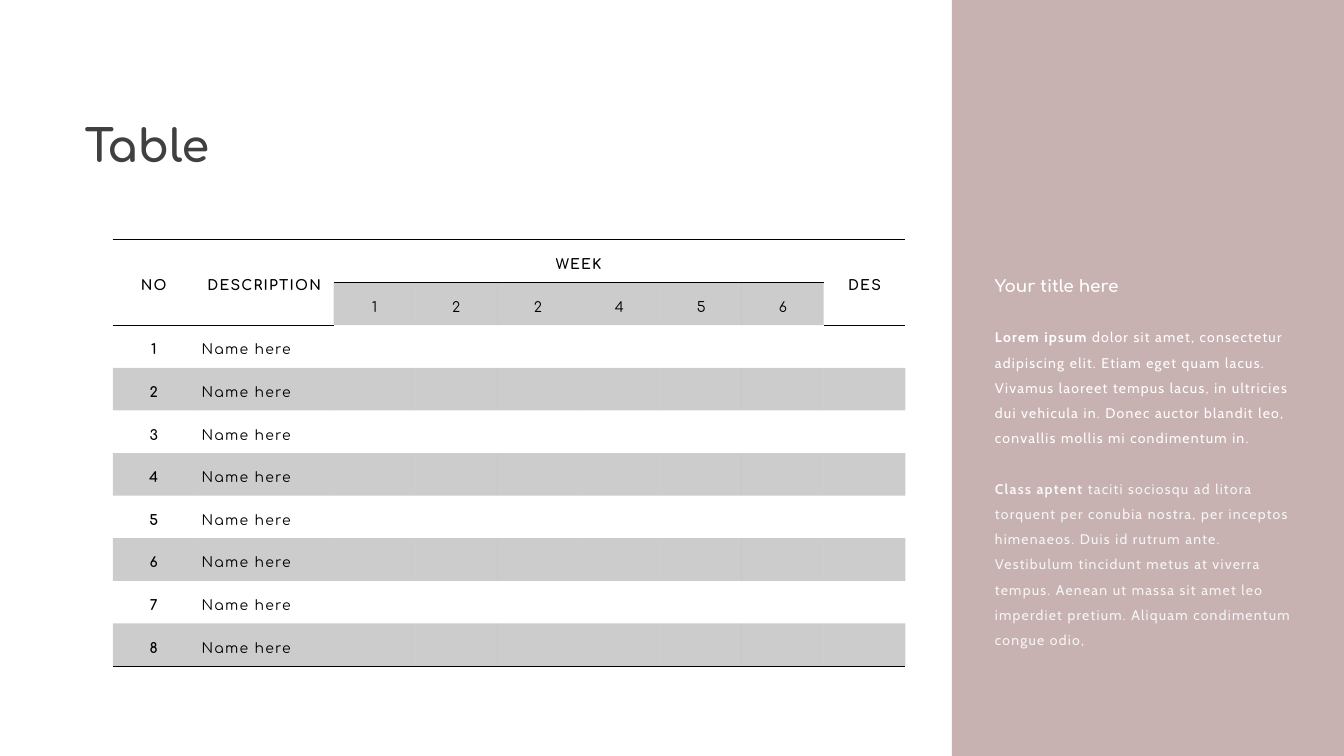
from lxml import etree
from pptx import Presentation
from pptx import util as u
from pptx.dml.color import RGBColor
from pptx.enum import shapes, text
from pptx.oxml import ns

PLAIN_TABLE_STYLE = "{2D5ABB26-0587-4C30-8999-92F81FD0307C}"
BLACK, WHITE = "000000", "FFFFFF"
NUMBER_WIDTH, DESCRIPTION_WIDTH = 0.81, 1.38
TABLE_WIDTH, TABLE_HEIGHT = 7.87, 4.23
WEEKS = ["1", "2", "2", "4", "5", "6"]
NAME_COUNT = 8
ROW_COUNT, COLUMN_COUNT = NAME_COUNT + 2, len(WEEKS) + 3

TABLE_FORMAT = {"name": "Comfortaa", "size": u.Pt(10)}
BODY_FORMAT = {"name": "Cabin", "size": u.Pt(10)}
SPACING = 90  # hundredths of a point

BODY = [
    (WHITE, "Lorem ipsum ",
     "dolor sit amet, consectetur adipiscing elit. Etiam eget quam lacus. "
     "Vivamus laoreet tempus lacus, in ultricies dui vehicula in. "
     "Donec auctor blandit leo, convallis mollis mi condimentum in."),
    ("F6F6F6", "Class aptent ",
     "taciti sociosqu ad litora torquent per conubia nostra, per inceptos "
     "himenaeos. Duis id rutrum ante. Vestibulum tincidunt metus at viverra "
     "tempus. Aenean ut massa sit amet leo imperdiet pretium. "
     "Aliquam condimentum congue odio,"),
]


def color(value):
    return RGBColor.from_string(value)


def add_run(paragraph, words, font_color, font_format, bold=False, spacing=0):
    run = paragraph.add_run()
    run.text = words
    for name, value in {**font_format, "bold": bold}.items():
        setattr(run.font, name, value)
    run.font.color.rgb = color(font_color)
    if spacing:
        run.font._element.set("spc", str(spacing))


def add_text_frame(slide, left, top, width, height):
    box = slide.shapes.add_textbox(*map(u.Inches, (left, top, width, height)))
    box.text_frame.word_wrap = True
    return box.text_frame


def add_heading(slide, words, position, size, font_color):
    frame = add_text_frame(slide, *position)
    add_run(frame.paragraphs[0], words, font_color,
            {"name": "Comfortaa", "size": u.Pt(size)}, bold=True)


def add_side_panel(slide):
    panel = slide.shapes.add_shape(
        shapes.MSO_SHAPE.RECTANGLE, *map(u.Inches, (9.44, 0, 3.89, 7.5)))
    panel.shadow.inherit = False
    panel.fill.solid()
    panel.fill.fore_color.rgb = color("C7B1B1")
    panel.line.fill.background()


def add_body(slide):
    frame = add_text_frame(slide, 9.77, 3.13, 3.24, 3.1)
    for index, (font_color, lead, rest) in enumerate(BODY):
        paragraph = frame.add_paragraph() if index else frame.paragraphs[0]
        paragraph.line_spacing = 1.5
        paragraph.space_before = u.Pt(18 if index else 0)
        add_run(paragraph, lead, font_color, BODY_FORMAT, True, SPACING)
        add_run(paragraph, rest, font_color, BODY_FORMAT, False, SPACING)


def write_cell(cell, words, bold=False, align=text.PP_ALIGN.CENTER):
    paragraph = cell.text_frame.paragraphs[0]
    paragraph.alignment = align
    paragraph.line_spacing = 1.5
    add_run(paragraph, words, BLACK, TABLE_FORMAT, bold, SPACING)


def shade_cell(cell):
    """Fill with black at 20 % opacity."""
    cell.fill.solid()
    cell.fill.fore_color.rgb = color(BLACK)
    tint = cell._tc.tcPr.find(".//" + ns.qn("a:srgbClr"))
    etree.SubElement(tint, ns.qn("a:alpha"), val="20000")


def add_borders(cell, sides):
    """Draw 1 pt black lines; sides are tags in schema order."""
    properties = cell._tc.get_or_add_tcPr()
    for index, side in enumerate(sides):
        line = etree.Element(ns.qn(f"a:{side}"), w=str(u.Pt(1)))
        fill = etree.SubElement(line, ns.qn("a:solidFill"))
        etree.SubElement(fill, ns.qn("a:srgbClr"), val=BLACK)
        properties.insert(index, line)


def format_cell(cell, row, column):
    cell_format = {"margin_left": u.Inches(0.07), "margin_right": u.Inches(0.07),
                   "margin_top": 0, "margin_bottom": 0,
                   "vertical_anchor": text.MSO_ANCHOR.MIDDLE}
    for name, value in cell_format.items():
        setattr(cell, name, value)
    is_week = 2 <= column < COLUMN_COUNT - 1
    if row % 2 and (row > 1 or is_week):
        shade_cell(cell)
    else:
        cell.fill.background()
    if row == 0:
        add_borders(cell, ["lnT", "lnB"])
    elif row == ROW_COUNT - 1 or (row == 1 and not is_week):
        add_borders(cell, ["lnB"])


def add_schedule(slide):
    frame = slide.shapes.add_table(
        ROW_COUNT, COLUMN_COUNT,
        *map(u.Inches, (1.12, 2.38, TABLE_WIDTH, TABLE_HEIGHT)))
    table = frame.table
    table.first_row = table.horz_banding = False
    table._tbl.tblPr.find(ns.qn("a:tableStyleId")).text = PLAIN_TABLE_STYLE
    for index, column in enumerate(table.columns):
        column.width = u.Inches(DESCRIPTION_WIDTH if index == 1 else NUMBER_WIDTH)
    for row in table.rows:
        row.height = u.Inches(TABLE_HEIGHT / ROW_COUNT)
    for row in range(ROW_COUNT):
        for column in range(COLUMN_COUNT):
            format_cell(table.cell(row, column), row, column)

    last = COLUMN_COUNT - 1
    headers = [("NO", 0, 1, 0), ("DESCRIPTION", 1, 1, 1),
               ("WEEK", 2, 0, last - 1), ("DES", last, 1, last)]
    for words, column, end_row, end_column in headers:
        cell = table.cell(0, column)
        cell.merge(table.cell(end_row, end_column))
        write_cell(cell, words, bold=True)
    for column, week in enumerate(WEEKS, start=2):
        write_cell(table.cell(1, column), week)
    for number in range(1, NAME_COUNT + 1):
        write_cell(table.cell(number + 1, 0), str(number), bold=True)
        write_cell(table.cell(number + 1, 1), "Name here",
                   align=text.PP_ALIGN.LEFT)


def main():
    presentation = Presentation()
    presentation.slide_width = u.Inches(13.33)
    presentation.slide_height = u.Inches(7.5)
    slide = presentation.slides.add_slide(presentation.slide_layouts[6])
    add_side_panel(slide)
    add_schedule(slide)
    add_heading(slide, "Table", (0.74, 1.12, 5.73, 0.64), 32, "404040")
    add_body(slide)
    add_heading(slide, "Your title here", (9.77, 2.69, 3.24, 0.3), 12, WHITE)
    presentation.save("out.pptx")


if __name__ == "__main__":
    main()
